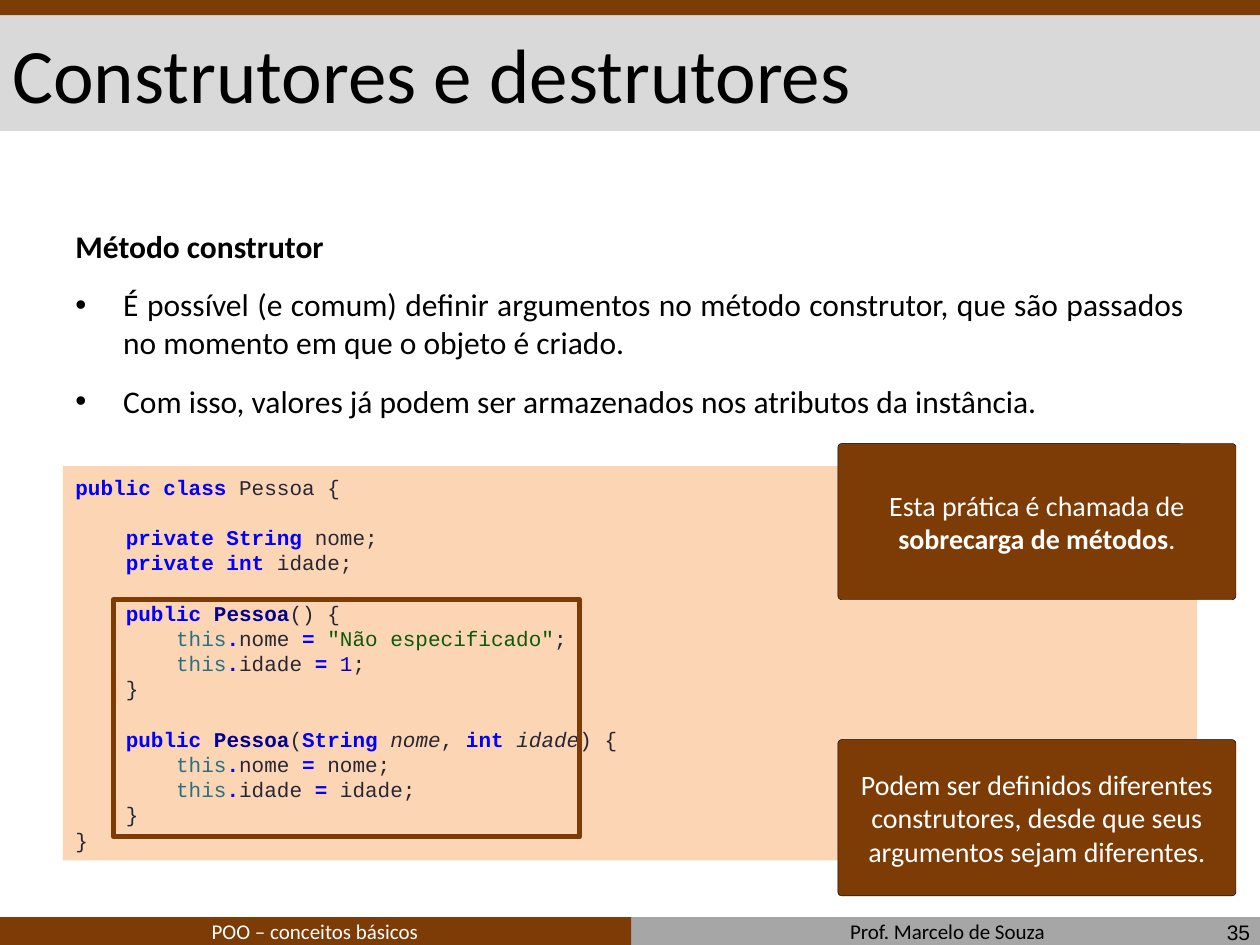
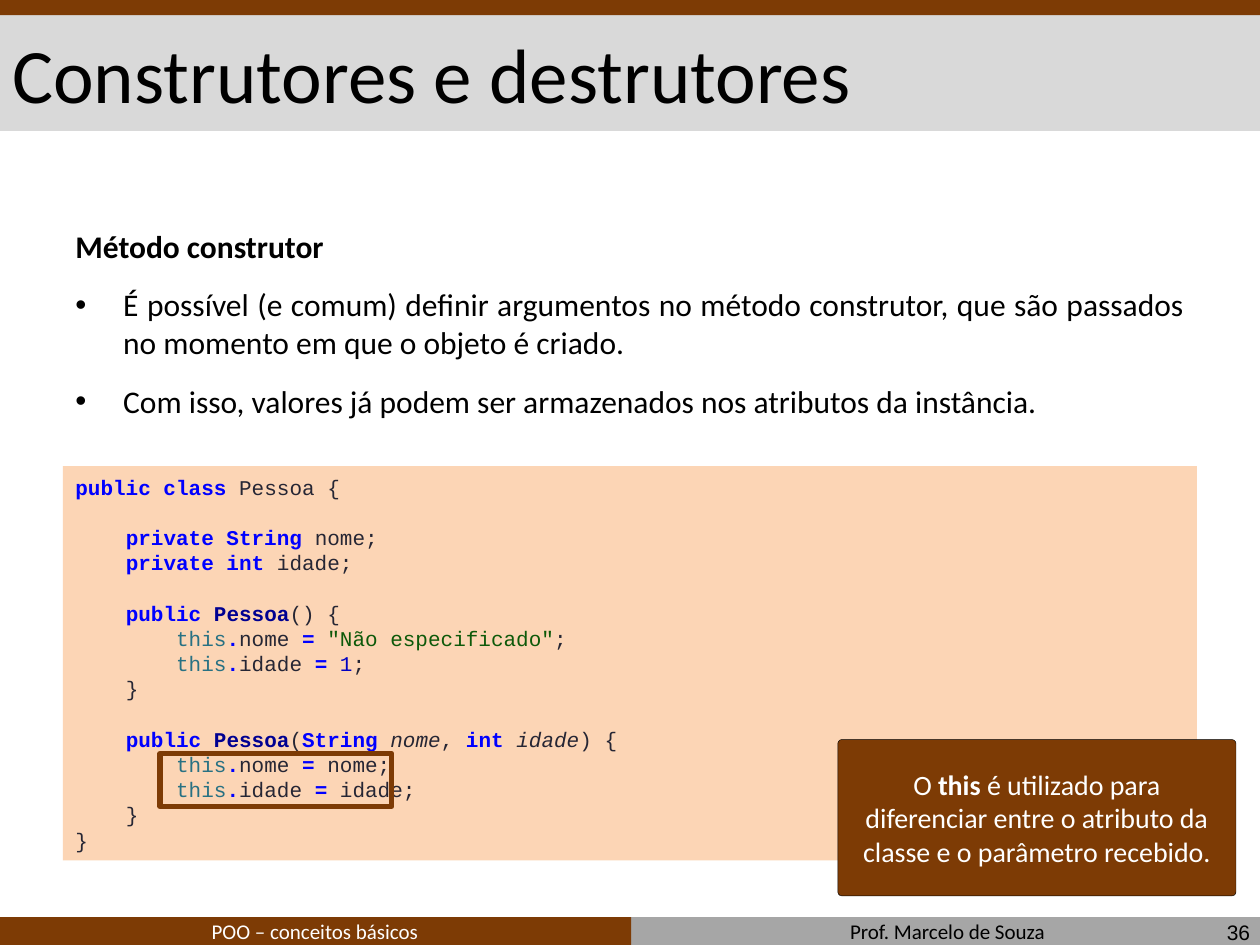
from dataclasses import dataclass

from lxml import etree
from pptx import Presentation
from pptx import util as u
from pptx.dml.color import RGBColor
from pptx.enum import shapes, text
from pptx.oxml.ns import qn

BROWN = RGBColor(0x7D, 0x3B, 0x05)
LIGHT_GRAY = RGBColor(0xD9, 0xD9, 0xD9)
GRAY = RGBColor(0xA6, 0xA6, 0xA6)
PEACH = RGBColor(0xFC, 0xD5, 0xB5)
BLACK = RGBColor(0x00, 0x00, 0x00)
WHITE = RGBColor(0xFF, 0xFF, 0xFF)
CODE_PLAIN = RGBColor(0x26, 0x26, 0x34)
CODE_KEYWORD = RGBColor(0x00, 0x00, 0xFF)
CODE_METHOD = RGBColor(0x00, 0x00, 0x91)
CODE_THIS = RGBColor(0x28, 0x71, 0x83)
CODE_STRING = RGBColor(0x0D, 0x59, 0x09)
CODE_NUMBER = RGBColor(0x00, 0x00, 0xC2)

BODY_FONT = "Calibri"
CODE_FONT = "Courier New"
CODE_INDENT = 0.4  # four characters of 12 pt code
CODE_LINE = u.Pt(14.4)

RECTANGLE = shapes.MSO_SHAPE.RECTANGLE
ROUNDED = shapes.MSO_SHAPE.ROUNDED_RECTANGLE
LEFT = text.PP_ALIGN.LEFT
CENTER = text.PP_ALIGN.CENTER
RIGHT = text.PP_ALIGN.RIGHT
JUSTIFY = text.PP_ALIGN.JUSTIFY
TOP = text.MSO_ANCHOR.TOP
MIDDLE = text.MSO_ANCHOR.MIDDLE
BOTTOM = text.MSO_ANCHOR.BOTTOM


@dataclass(frozen=True)
class Box:
    left: float
    top: float
    width: float
    height: float

    def inches(self) -> tuple:
        return tuple(map(u.Inches, (self.left, self.top, self.width, self.height)))


@dataclass(frozen=True)
class Span:
    text: str
    color: RGBColor = CODE_PLAIN
    bold: bool = False
    italic: bool = False


@dataclass(frozen=True)
class CodeLine:
    level: int
    spans: tuple
    gap_before: bool = False


@dataclass(frozen=True)
class Callout:
    top: float
    spans: tuple


@dataclass(frozen=True)
class Page:
    number: int
    callouts: tuple
    highlight: Box


def keyword(word: str) -> Span:
    return Span(word, CODE_KEYWORD, bold=True)


def assignment(attribute: str, value: Span, ending: str = ";") -> CodeLine:
    return CodeLine(2, (Span("this", CODE_THIS), keyword("."), Span(attribute + " "),
                        keyword("= "), value, Span(ending)))


# Shared content
TITLE = "Construtores e destrutores"
BODY = (
    "Método construtor",
    "É possível (e comum) definir argumentos no método construtor, "
    "que são passados no momento em que o objeto é criado.",
    "Com isso, valores já podem ser armazenados nos atributos da instância.",
)
CONSTRUCTOR = (keyword("public "), Span("Pessoa", CODE_METHOD, bold=True))
CODE = (
    CodeLine(0, (keyword("public class"), Span(" Pessoa {"))),
    CodeLine(1, (keyword("private String"), Span(" nome;")), gap_before=True),
    CodeLine(1, (keyword("private int"), Span(" idade;"))),
    CodeLine(1, (*CONSTRUCTOR, Span("() {")), gap_before=True),
    assignment("nome", Span('"Não especificado"', CODE_STRING)),
    assignment("idade", Span("1", CODE_NUMBER)),
    CodeLine(1, (Span("}"),)),
    CodeLine(1, (*CONSTRUCTOR, Span("("), keyword("String "), Span("nome", italic=True),
                 Span(", "), keyword("int "), Span("idade", italic=True), Span(") {")),
             gap_before=True),
    assignment("nome", Span("nome")),
    assignment("idade", Span("idade")),
    CodeLine(1, (Span("}"),)),
    CodeLine(0, (Span("}"),)),
)

# What differs from page to page
PAGES = (
    Page(35, (
        Callout(5.87, (Span("Podem ser definidos diferentes construtores, "
                            "desde que seus argumentos sejam diferentes.", WHITE),)),
        Callout(3.52, (Span("Esta prática é chamada de ", WHITE),
                       Span("sobrecarga de métodos", WHITE, bold=True),
                       Span(".", WHITE))),
    ), Box(0.9, 4.76, 3.7, 1.88)),
    Page(36, (
        Callout(5.87, (Span("O ", WHITE), Span("this", WHITE, bold=True),
                       Span(" é utilizado para diferenciar entre o atributo da "
                            "classe e o parâmetro recebido.", WHITE))),
    ), Box(1.27, 5.98, 1.84, 0.42)),
)


def add_block(slide, box: Box, fill=None, line=None, line_width: float = 0,
              kind=RECTANGLE):
    shape = slide.shapes.add_shape(kind, *box.inches())
    shape.shadow.inherit = False
    if fill is None:
        shape.fill.background()
    else:
        shape.fill.solid()
        shape.fill.fore_color.rgb = fill
    if line is None:
        shape.line.fill.background()
    else:
        shape.line.color.rgb = line
        shape.line.width = u.Pt(line_width)
    return shape


def write(paragraph, spans: tuple, size: float, font: str = BODY_FONT,
          align=LEFT) -> None:
    paragraph.alignment = align
    for span in spans:
        run = paragraph.add_run()
        run.text = span.text
        run.font.name = font
        run.font.size = u.Pt(size)
        run.font.color.rgb = span.color
        run.font.bold = span.bold
        run.font.italic = span.italic


def prepare_frame(shape, anchor):
    frame = shape.text_frame
    frame.word_wrap = True
    frame.vertical_anchor = anchor
    return frame


def next_paragraph(frame, index: int):
    return frame.add_paragraph() if index else frame.paragraphs[0]


def add_label(slide, box: Box, words: str, size: float, color=BLACK,
              font: str = BODY_FONT, align=LEFT, anchor=MIDDLE) -> None:
    frame = prepare_frame(slide.shapes.add_textbox(*box.inches()), anchor)
    write(frame.paragraphs[0], (Span(words, color),), size, font, align)


def add_bullet(paragraph) -> None:
    properties = paragraph._p.get_or_add_pPr()
    properties.set("marL", str(u.Inches(0.38)))
    properties.set("indent", str(-u.Inches(0.38)))
    etree.SubElement(properties, qn("a:buFont")).set("typeface", "Arial")
    etree.SubElement(properties, qn("a:buChar")).set("char", "•")


def add_frame(slide, number: int) -> None:
    # Bands, footers, title and page number
    add_block(slide, Box(5, 7.28, 5.01, 0.24), GRAY)
    add_block(slide, Box(0, 7.28, 5.01, 0.24), BROWN)
    add_block(slide, Box(0, 0.11, 10, 0.93), LIGHT_GRAY)
    add_block(slide, Box(0, 0, 10.03, 0.12), BROWN)
    add_label(slide, Box(5.01, 7.24, 5.02, 0.3), "Prof. Marcelo de Souza", 12,
              align=CENTER, anchor=BOTTOM)
    add_label(slide, Box(0, 7.24, 5, 0.3), "POO – conceitos básicos", 12, WHITE,
              align=CENTER, anchor=BOTTOM)
    add_label(slide, Box(0, 0.12, 10, 0.91), TITLE, 44)
    add_label(slide, Box(7.69, 7.23, 2.33, 0.33), str(number), 12, font="Arial",
              align=RIGHT)


def add_body(slide) -> None:
    box = Box(0.5, 1.75, 9, 5.25)
    frame = prepare_frame(slide.shapes.add_textbox(*box.inches()), TOP)
    for index, words in enumerate(BODY):
        paragraph = next_paragraph(frame, index)
        paragraph.space_before = u.Pt(12)
        write(paragraph, (Span(words, BLACK, bold=index == 0),), 18, align=JUSTIFY)
        if index:
            add_bullet(paragraph)


def add_code(slide) -> None:
    frame = prepare_frame(add_block(slide, Box(0.5, 3.7, 9, 3.13), PEACH), MIDDLE)
    for index, line in enumerate(CODE):
        paragraph = next_paragraph(frame, index)
        if line.gap_before:
            paragraph.space_before = CODE_LINE
        write(paragraph, line.spans, 12, CODE_FONT)
        margin = u.Inches(CODE_INDENT * line.level)
        paragraph._p.get_or_add_pPr().set("marL", str(margin))


def add_callout(slide, callout: Callout) -> None:
    shape = add_block(slide, Box(6.65, callout.top, 3.16, 1.24), BROWN, BLACK, 0.25,
                      ROUNDED)
    shape.adjustments[0] = 0.025
    frame = prepare_frame(shape, MIDDLE)
    write(frame.paragraphs[0], callout.spans, 16, align=CENTER)


def main() -> None:
    presentation = Presentation()
    presentation.slide_width = u.Inches(10)
    presentation.slide_height = u.Inches(7.5)
    for page in PAGES:
        slide = presentation.slides.add_slide(presentation.slide_layouts[6])
        add_frame(slide, page.number)
        add_body(slide)
        add_code(slide)
        for callout in page.callouts:
            add_callout(slide, callout)
        add_block(slide, page.highlight, line=BROWN, line_width=3)
    presentation.save("out.pptx")


if __name__ == "__main__":
    main()
